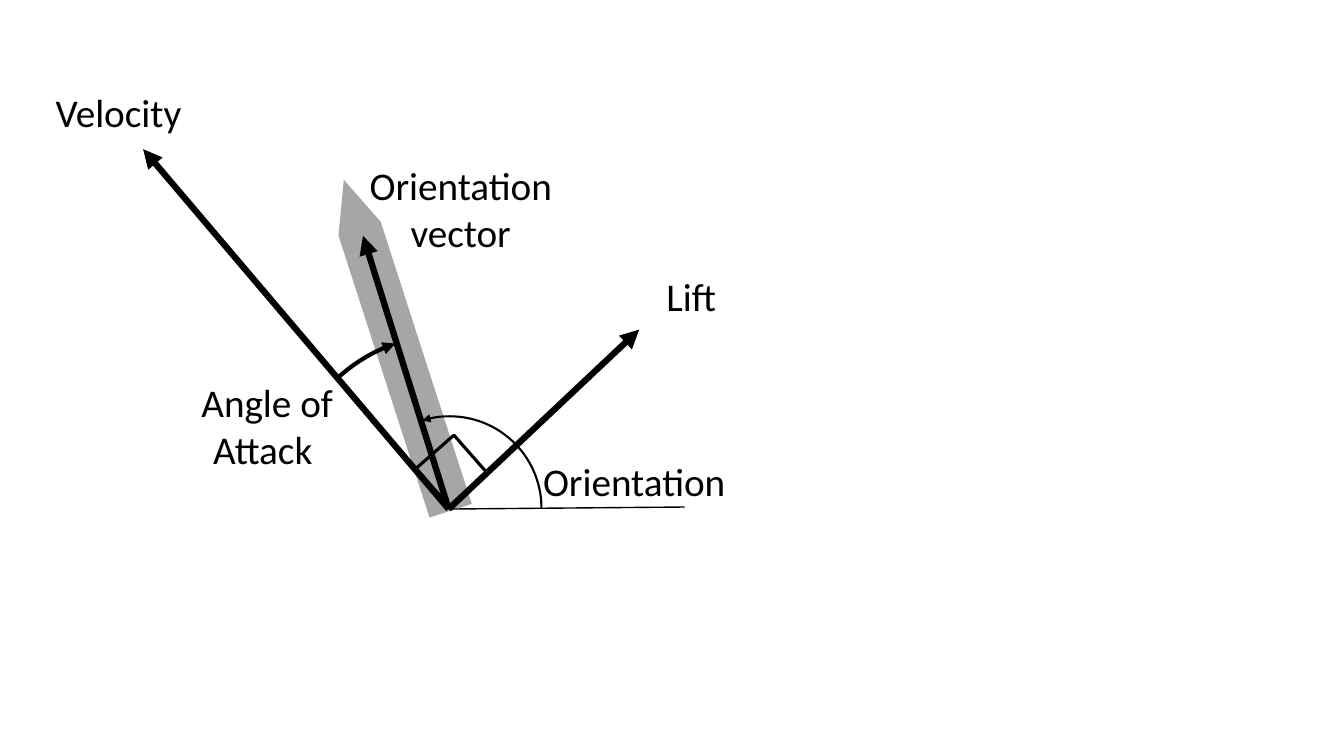
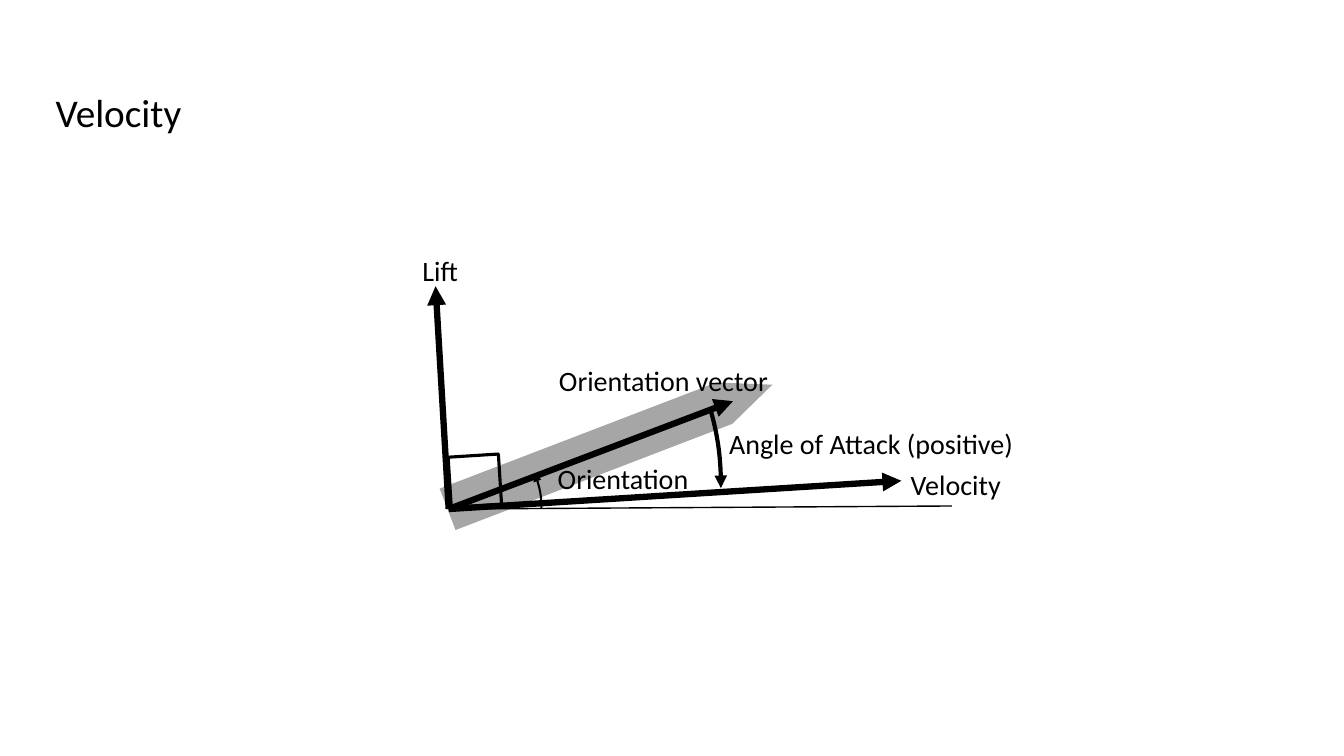
"""Builds two vector diagrams of velocity, orientation, lift and angle of attack."""
from lxml import etree
from pptx import Presentation
from pptx.dml.color import RGBColor
from pptx.enum import shapes, text
from pptx.oxml.ns import qn
from pptx.util import Inches, Pt

BLACK, GRAY = "000000", "A6A6A6"
FONT = "Calibri"
ORIGIN = (4.45, 5.05)
HULL_SIZE = (0.44, 3.45)
RIGHT_ANGLE_SIZE = (0.5, 0.5)
LABEL_HEIGHT = 0.55
ORIENTATION_BOX = (3.55, 4.13, 1.82, 1.82)

DIAGRAMS = [
    {
        "hull": ((3.72, 1.7), 342.1),
        "vectors": [(1.42, 1.48), (6.34, 3.27), (3.6, 2.34)],
        "horizon": (6.79, 5.03),
        "right_angle": ((4.23, 4.42), 318.7),
        "attack": ((2.79, 3.32, 3.32, 3.41), 229.64, 251.86),
        "orientation": 252.63,
        "labels": [
            ("Velocity", 0.41, 0.83, 1.53, 28),
            ("Lift", 6.09, 2.66, 1.53, 28),
            ("Orientation vector", 3.5, 1.79, 2.14, 28),
            ("Angle of Attack ", 1.58, 3.94, 2.14, 28),
            ("Orientation", 5.22, 4.49, 2.14, 28),
        ],
    },
    {
        "hull": ((5.83, 2.71), 69),
        "vectors": [(8.94, 4.77), (4.32, 2.84), (7.27, 3.98)],
        "horizon": (9.44, 5.02),
        "right_angle": ((4.46, 4.52), 356.4),
        "attack": ((2.07, 2.19, 5.08, 5.22), 343.3, 0.96),
        "orientation": 337.68,
        "labels": [
            ("Velocity", 0.41, 0.83, 1.53, 28),
            ("Lift", 3.6, 2.41, 1.53, 20),
            ("Orientation vector", 5.39, 3.5, 2.38, 20),
            ("Angle of Attack (positive) ", 7.11, 4.12, 3.06, 20),
            ("Orientation", 5.11, 4.47, 2.14, 20),
            ("Velocity", 8.41, 4.53, 2.14, 20),
        ],
    },
]


def color(value):
    return RGBColor.from_string(value)


def inches(values):
    return [Inches(value) for value in values]


def style_line(shape, width, arrow_end=None):
    shape.line.fill.solid()
    shape.line.fill.fore_color.rgb = color(BLACK)
    shape.line.width = Pt(width)
    if arrow_end:
        outline = shape.element.spPr.find(qn("a:ln"))
        etree.SubElement(outline, qn(f"a:{arrow_end}"), type="triangle")


def add_shape(slide, kind, box, rotation=0, fill=None):
    shape = slide.shapes.add_shape(kind, *inches(box))
    shape.shadow.inherit = False
    shape.rotation = rotation
    if fill:
        shape.fill.solid()
        shape.fill.fore_color.rgb = color(fill)
    else:
        shape.fill.background()
    return shape


def add_hull(slide, position, rotation):
    hull = add_shape(slide, shapes.MSO_SHAPE.UP_ARROW, (*position, *HULL_SIZE), rotation, GRAY)
    hull.adjustments[0] = 1
    hull.adjustments[1] = 1.16
    hull.line.fill.background()


def add_line(slide, end, width, arrow_end=None):
    line = slide.shapes.add_connector(
        shapes.MSO_CONNECTOR.STRAIGHT, *inches(ORIGIN + end))
    style_line(line, width, arrow_end)
    etree.SubElement(line.element.spPr, qn("a:effectLst"))


def add_arc(slide, box, start, end, width, arrow_end):
    """Draw an arc between two angles in degrees, clockwise from the right."""
    arc = add_shape(slide, shapes.MSO_SHAPE.ARC, box)
    arc.adjustments[0] = start * 0.6
    arc.adjustments[1] = end * 0.6
    style_line(arc, width, arrow_end)


def add_text(slide, words, left, top, width, size):
    box = slide.shapes.add_textbox(*inches((left, top, width, LABEL_HEIGHT)))
    frame = box.text_frame
    frame.word_wrap = True
    frame.vertical_anchor = text.MSO_ANCHOR.MIDDLE
    paragraph = frame.paragraphs[0]
    paragraph.alignment = text.PP_ALIGN.CENTER
    run = paragraph.add_run()
    run.text = words
    run.font.name = FONT
    run.font.size = Pt(size)
    run.font.color.rgb = color(BLACK)


def build_diagram(slide, diagram):
    add_hull(slide, *diagram["hull"])
    for tip in diagram["vectors"]:
        add_line(slide, tip, 4.5, "tailEnd")
    add_arc(slide, *diagram["attack"], width=3, arrow_end="tailEnd")
    position, rotation = diagram["right_angle"]
    corner = add_shape(
        slide, shapes.MSO_SHAPE.RECTANGLE, (*position, *RIGHT_ANGLE_SIZE), rotation)
    style_line(corner, 2.25)
    add_line(slide, diagram["horizon"], 1)
    add_arc(slide, ORIENTATION_BOX, diagram["orientation"], 0, 1.5, "headEnd")
    for words, left, top, width, size in diagram["labels"]:
        add_text(slide, words, left, top, width, size=size)


def main():
    presentation = Presentation()
    presentation.slide_width = Inches(13.33)
    presentation.slide_height = Inches(7.5)
    for diagram in DIAGRAMS:
        slide = presentation.slides.add_slide(presentation.slide_layouts[6])
        build_diagram(slide, diagram)
    presentation.save("out.pptx")


if __name__ == "__main__":
    main()
